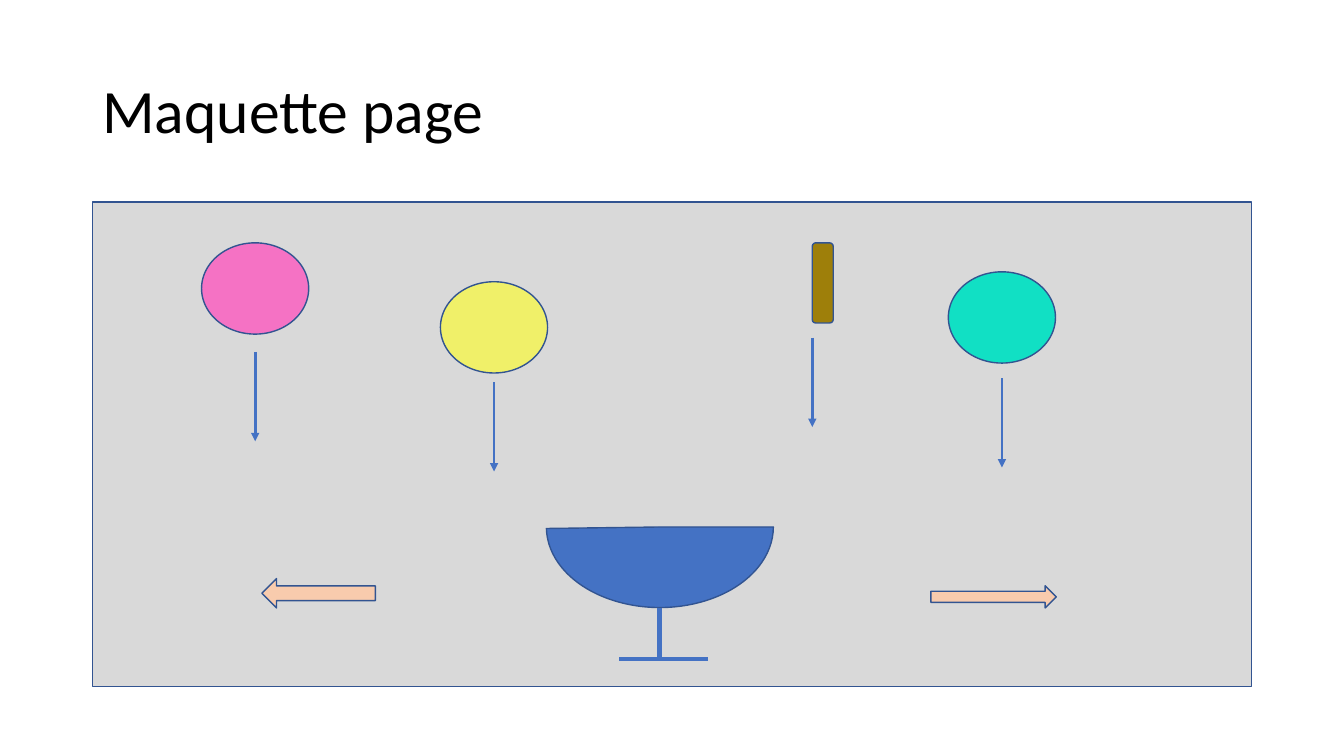
import pptx
import pptx.util
import pptx.dml.color
import pptx.enum.shapes
import pptx.enum.text
import pptx.oxml.ns
import lxml.etree

Cm, Pt = pptx.util.Cm, pptx.util.Pt
RGBColor = pptx.dml.color.RGBColor
Shape = pptx.enum.shapes.MSO_SHAPE

BLACK = RGBColor(0x00, 0x00, 0x00)
GREY = RGBColor(0xD9, 0xD9, 0xD9)
BLUE = RGBColor(0x44, 0x72, 0xC4)
OUTLINE = RGBColor(0x32, 0x54, 0x91)
PEACH = RGBColor(0xF8, 0xCB, 0xAD)
TURQUOISE = RGBColor(0x11, 0xE0, 0xC4)
YELLOW = RGBColor(0xF0, 0xF0, 0x69)
PINK = RGBColor(0xF5, 0x72, 0xC4)
BROWN = RGBColor(0x9E, 0x7F, 0x0A)


class Sketch:
    """Holds the style and the current page; all lengths are in centimetres."""
    font = "Calibri"

    def __init__(self, page):
        self.page = page

    def title(self, text, left, top, width, height):
        box = self.page.shapes.add_textbox(Cm(left), Cm(top), Cm(width), Cm(height))
        frame = box.text_frame
        frame.word_wrap = True
        frame.vertical_anchor = pptx.enum.text.MSO_ANCHOR.MIDDLE
        para = frame.paragraphs[0]
        para.line_spacing = 0.9
        run = para.add_run()
        run.text = text
        run.font.name = self.font
        run.font.size = Pt(44)
        run.font.color.rgb = BLACK

    def shape(self, kind, fill, left, top, width, height):
        shape = self.page.shapes.add_shape(kind, Cm(left), Cm(top), Cm(width), Cm(height))
        shape.shadow.inherit = False
        shape.fill.solid()
        shape.fill.fore_color.rgb = fill
        shape.line.color.rgb = OUTLINE
        shape.line.width = Pt(1)
        return shape

    def line(self, start, end, width, arrow=False):
        line = self.page.shapes.add_connector(
            pptx.enum.shapes.MSO_CONNECTOR.STRAIGHT, *map(Cm, start + end))
        line.line.color.rgb = BLUE
        line.line.width = Pt(width)
        qn = pptx.oxml.ns.qn
        if arrow:
            outline = line.line._get_or_add_ln()
            lxml.etree.SubElement(outline, qn("a:tailEnd"), type="triangle")
        lxml.etree.SubElement(line._element.spPr, qn("a:effectLst"))

    def fall_arrow(self, x, top):
        self.line((x, top), (x, top + 2.25), 0, arrow=True)


deck = pptx.Presentation()
deck.slide_width, deck.slide_height = Cm(33.87), Cm(19.05)
sketch = Sketch(deck.slides.add_slide(deck.slide_layouts[6]))

# Title and game area
sketch.title("Maquette page", 2.33, 1.01, 29.21, 3.68)
sketch.shape(Shape.RECTANGLE, GREY, 2.33, 5.09, 29.21, 12.21)

# Bowl with its stem and foot
bowl = sketch.shape(Shape.PIE, BLUE, 13.77, 11.25, 5.72, 4.06)
bowl.adjustments[0] = 0
bowl.adjustments[1] = 107.543
sketch.line((16.62, 15.31), (16.62, 16.61), 4)
sketch.line((15.6, 16.61), (17.85, 16.61), 3)

# Arrows for the sideways moves
sketch.shape(Shape.RIGHT_ARROW, PEACH, 23.46, 14.76, 3.16, 0.56)
sketch.shape(Shape.LEFT_ARROW, PEACH, 6.6, 14.58, 2.86, 0.74)

# Falling scoops: colour, left, top, top of arrow
SCOOP_WIDTH, SCOOP_HEIGHT = 2.7, 2.3
for colour, left, top, arrow_top in (
    (TURQUOISE, 23.9, 6.85, 9.53),
    (YELLOW, 11.1, 7.1, 9.63),
    (PINK, 5.08, 6.12, 8.87),
):
    sketch.shape(Shape.OVAL, colour, left, top, SCOOP_WIDTH, SCOOP_HEIGHT)
    sketch.fall_arrow(left + SCOOP_WIDTH / 2, arrow_top)

# Falling stick
sketch.shape(Shape.ROUNDED_RECTANGLE, BROWN, 20.47, 6.12, 0.53, 2.02)
sketch.fall_arrow(20.47, 8.51)

deck.save("out.pptx")
